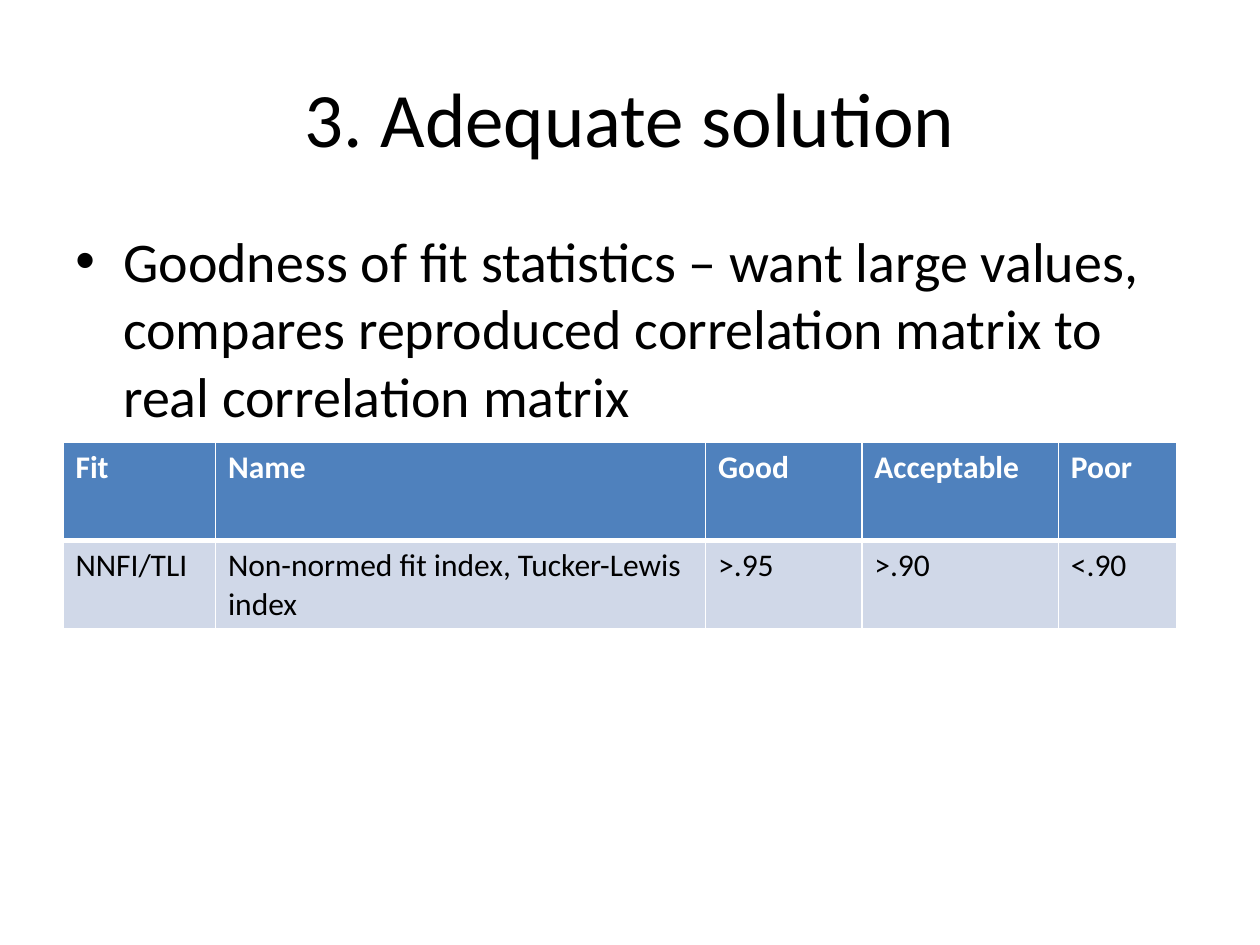
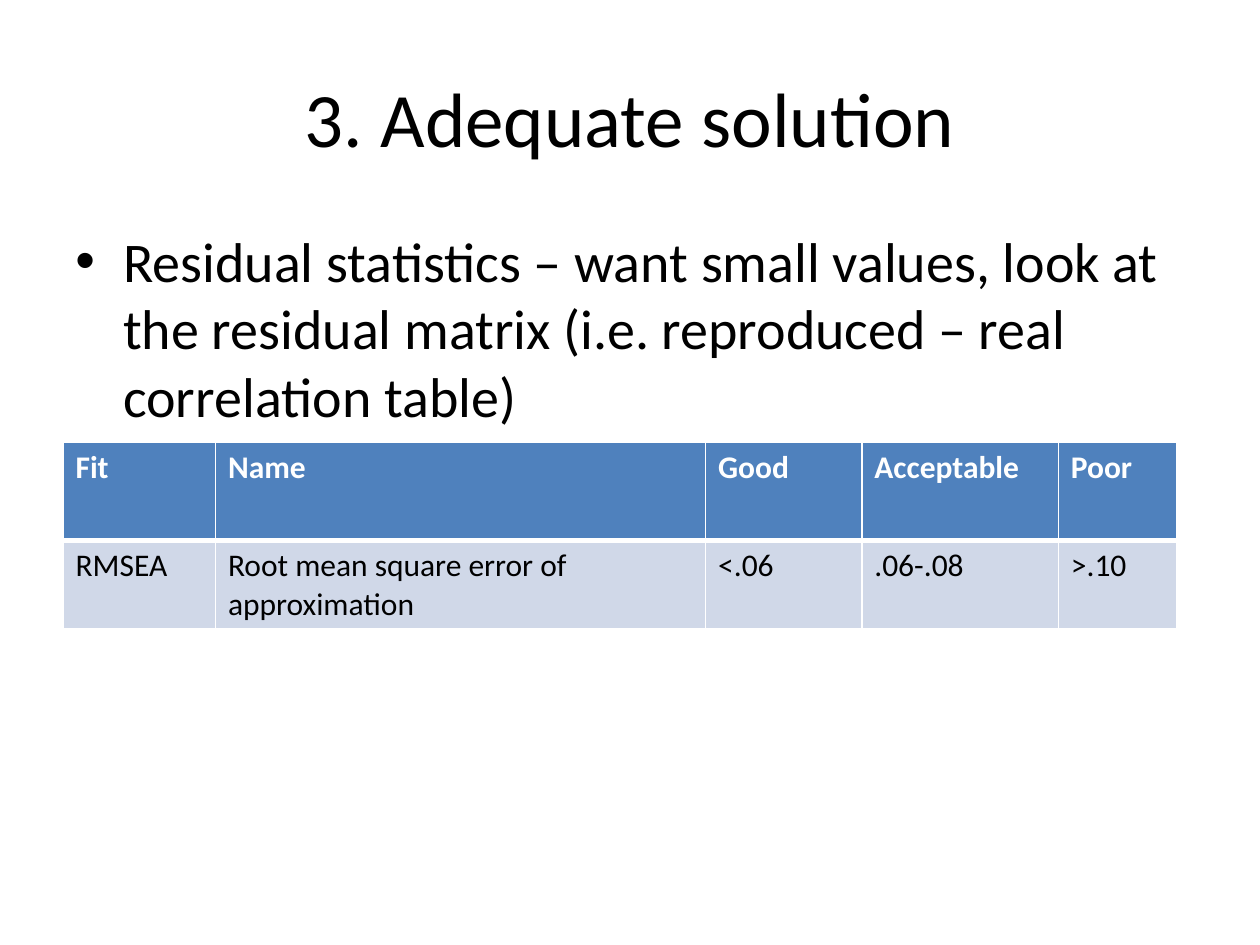
import dataclasses

import lxml.etree
import pptx
import pptx.dml.color
import pptx.enum.text
import pptx.oxml.ns
import pptx.util

PX = 9144  # EMU in one px, 100 px to the inch


@dataclasses.dataclass(frozen=True)
class Theme:
    font: str = "Calibri"
    ink: str = "000000"
    paper: str = "FFFFFF"
    header: str = "4F81BD"
    row: str = "D0D8E8"
    title_size: int = 44
    body_size: int = 32
    table_size: int = 18
    thin: int = 1
    thick: int = 3


TITLE_BOX = (50, 30, 900, 125)
BODY_BOX = (50, 175, 900, 495)
TABLE_CORNER = (50, 351)
COLUMN_WIDTHS = (121, 389, 124, 156, 94)
ROW_HEIGHTS = (78, 70)
BULLET_INDENT = 38
HEADINGS = ("Fit", "Name", "Good", "Acceptable", "Poor")
TITLE = "3. Adequate solution"
PAGES = (
    ("Goodness of fit statistics – want large values, compares reproduced "
     "correlation matrix to real correlation matrix",
     ("NNFI/TLI", "Non-normed fit index, Tucker-Lewis index",
      ">.95", ">.90", "<.90")),
    ("Residual statistics – want small values, look at the residual matrix "
     "(i.e. reproduced – real correlation table)",
     ("RMSEA", "Root mean square error of approximation",
      "<.06", ".06-.08", ">.10")),
)


def px(*lengths):
    return [pptx.util.Emu(length * PX) for length in lengths]


def add_element(parent, tag, **attributes):
    return lxml.etree.SubElement(parent, pptx.oxml.ns.qn(tag), attributes)


class Builder:
    def __init__(self, deck, theme):
        self.deck = deck
        self.theme = theme
        self.page = None

    def new_page(self):
        self.page = self.deck.slides.add_slide(self.deck.slide_layouts[6])

    def add_text(self, para, text, size, color, bold=False):
        span = para.add_run()
        span.text = text
        formats = {"name": self.theme.font, "size": pptx.util.Pt(size), "bold": bold}
        for name, value in formats.items():
            setattr(span.font, name, value)
        span.font.color.rgb = pptx.dml.color.RGBColor.from_string(color)

    def text_box(self, place, anchor):
        """Add an empty wrapping box and return its first paragraph."""
        box = self.page.shapes.add_textbox(*px(*place))
        for name, value in {"word_wrap": True, "vertical_anchor": anchor}.items():
            setattr(box.text_frame, name, value)
        return box.text_frame.paragraphs[0]

    def title(self, text):
        para = self.text_box(TITLE_BOX, pptx.enum.text.MSO_ANCHOR.MIDDLE)
        para.alignment = pptx.enum.text.PP_ALIGN.CENTER
        self.add_text(para, text, self.theme.title_size, self.theme.ink)

    def bullet(self, text):
        para = self.text_box(BODY_BOX, pptx.enum.text.MSO_ANCHOR.TOP)
        properties = para._p.get_or_add_pPr()
        properties.set("marL", str(BULLET_INDENT * PX))
        properties.set("indent", str(-BULLET_INDENT * PX))
        add_element(properties, "a:buFont", typeface="Arial")
        add_element(properties, "a:buChar", char="•")
        self.add_text(para, text, self.theme.body_size, self.theme.ink)

    def borders(self, cell, top, bottom):
        thin = self.theme.thin
        properties = cell._tc.get_or_add_tcPr()
        for side, width in {"L": thin, "R": thin, "T": top, "B": bottom}.items():
            line = add_element(properties, f"a:ln{side}", w=str(pptx.util.Pt(width)))
            add_element(add_element(line, "a:solidFill"), "a:srgbClr",
                        val=self.theme.paper)

    def table(self, rows):
        theme = self.theme
        size = (sum(COLUMN_WIDTHS), sum(ROW_HEIGHTS))
        table = self.page.shapes.add_table(
            len(rows), len(COLUMN_WIDTHS), *px(*TABLE_CORNER, *size)).table
        for column, width in zip(table.columns, px(*COLUMN_WIDTHS)):
            column.width = width
        for row, height in zip(table.rows, px(*ROW_HEIGHTS)):
            row.height = height
        looks = (
            (theme.header, theme.paper, True, theme.thin, theme.thick),
            (theme.row, theme.ink, False, theme.thick, theme.thin),
        )
        for row, texts, (fill, color, bold, top, bottom) in zip(table.rows, rows, looks):
            for cell, text in zip(row.cells, texts):
                self.borders(cell, top, bottom)
                cell.fill.solid()
                cell.fill.fore_color.rgb = pptx.dml.color.RGBColor.from_string(fill)
                self.add_text(cell.text_frame.paragraphs[0], text,
                              theme.table_size, color, bold)


def main():
    deck = pptx.Presentation()
    deck.slide_width, deck.slide_height = px(1000, 750)
    builder = Builder(deck, Theme())
    for statement, values in PAGES:
        builder.new_page()
        builder.title(TITLE)
        builder.bullet(statement)
        builder.table((HEADINGS, values))
    deck.save("out.pptx")


if __name__ == "__main__":
    main()
